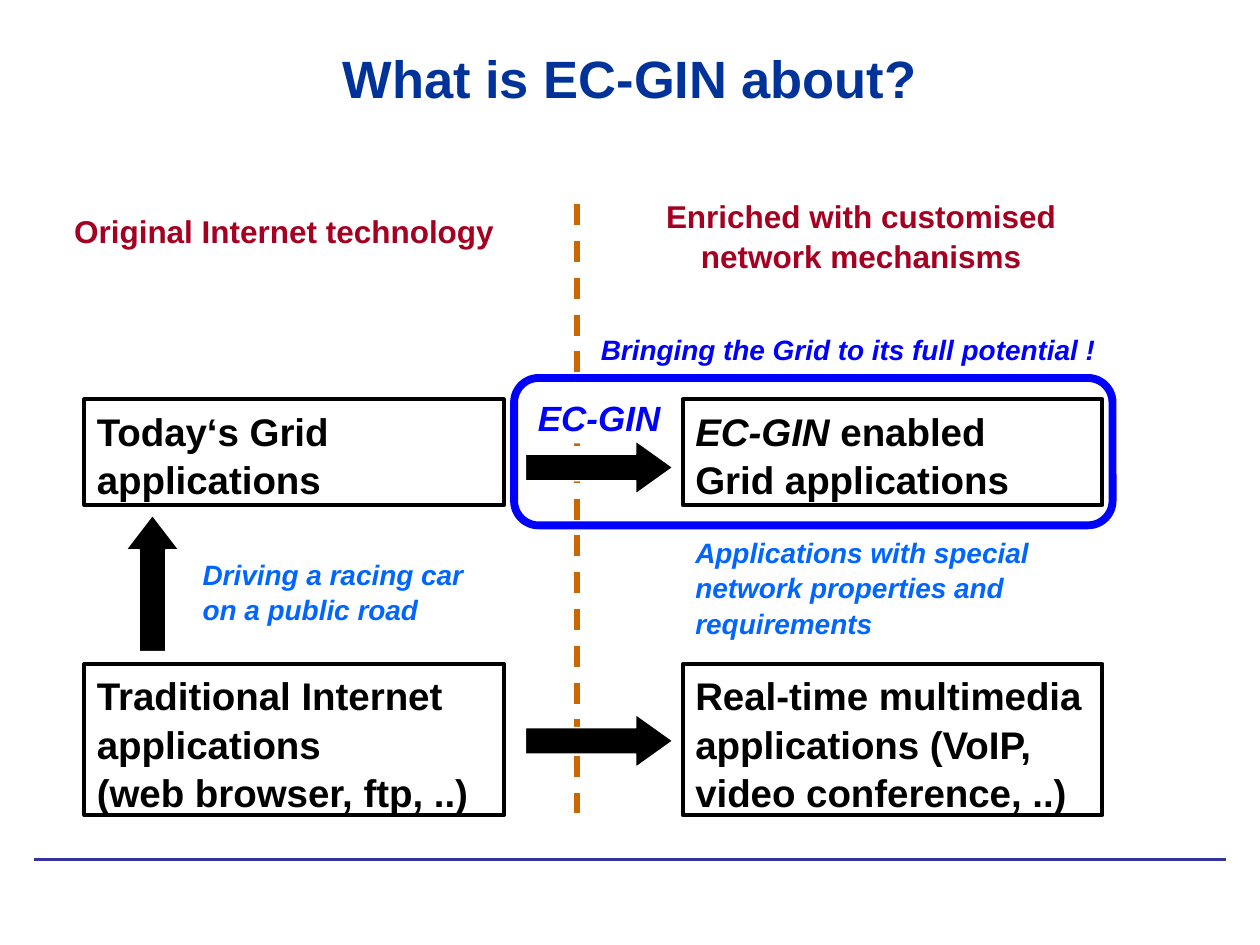
from dataclasses import dataclass

import pptx
import pptx.util
import pptx.dml.color
import pptx.enum.dml
import pptx.enum.shapes
import pptx.enum.text
import pptx.oxml

Inches = pptx.util.Inches
Pt = pptx.util.Pt
Shape = pptx.enum.shapes.MSO_SHAPE
Anchor = pptx.enum.text.MSO_ANCHOR
Align = pptx.enum.text.PP_ALIGN


@dataclass(frozen=True)
class Theme:
    font: str = "Arial"
    title: str = "003399"
    head: str = "A50021"
    text: str = "000000"
    note: str = "0066FF"
    mark: str = "0000FF"
    split: str = "CC6600"
    rule: str = "333399"
    white: str = "FFFFFF"
    title_size: int = 30
    box_size: int = 22
    mark_size: int = 20
    head_size: int = 18
    note_size: int = 16


@dataclass(frozen=True)
class Box:
    left: float
    top: float
    height: float
    words: tuple  # (text, italic) pairs


@dataclass(frozen=True)
class Label:
    text: str
    place: tuple
    size: int
    color: str
    italic: bool = True
    centred: bool = False
    wrap: bool = True


@dataclass(frozen=True)
class Arrow:
    left: float
    top: float
    width: float = 1.17
    turn: int = 0


THEME = Theme()
LEFT, RIGHT = 0.67, 5.42
UPPER, LOWER = 3.17, 5.27
BOX_WIDTH = 3.33

BOXES = (
    Box(LEFT, LOWER, 1.2,
        (("Traditional Internet applications\n(web browser, ftp, ..)", False),)),
    Box(RIGHT, LOWER, 1.2,
        (("Real-time multimedia applications (VoIP, video conference, ..)", False),)),
    Box(LEFT, UPPER, 0.84, (("Today‘s Grid applications", False),)),
    Box(RIGHT, UPPER, 0.84,
        (("EC-GIN", True), (" enabled\nGrid applications", False))),
)
LABELS = (
    Label("Enriched with customised\nnetwork mechanisms", (5.17, 1.5, 3.33, 0.7),
          THEME.head_size, THEME.head, italic=False, centred=True),
    Label("Original Internet technology", (0.42, 1.62, 3.67, 0.4),
          THEME.head_size, THEME.head, italic=False, centred=True),
    Label("Driving a racing car\non a public road", (1.51, 4.36, 2.27, 0.64),
          THEME.note_size, THEME.note, wrap=False),
    Label("Applications with special\nnetwork properties and\nrequirements",
          (RIGHT, 4.19, 2.85, 0.9), THEME.note_size, THEME.note, wrap=False),
    Label("Bringing the Grid to its full potential !", (4.67, 2.58, 4.17, 0.37),
          THEME.note_size, THEME.mark),
)
ARROWS = (Arrow(4.17, 5.67), Arrow(4.17, 3.5), Arrow(LEFT, 4.42, 1.08, 270))


def color(code: str):
    return pptx.dml.color.RGBColor.from_string(code)


def write(frame, words, *, size, ink, align=Align.LEFT, anchor=Anchor.TOP,
          wrap=True, spacing=1.05) -> None:
    """Fill a text frame with one paragraph of (text, italic) pairs."""
    frame.word_wrap = wrap
    frame.vertical_anchor = anchor
    frame.margin_left = frame.margin_right = Inches(0.1)
    frame.margin_top = frame.margin_bottom = Inches(0.05)
    para = frame.paragraphs[0]
    para.alignment = align
    para.line_spacing = spacing
    para.space_before = Pt(0)
    for text, italic in words:
        for i, line in enumerate(text.split("\n")):
            if i:
                para.add_line_break()
            run = para.add_run()
            run.text = line
            font = run.font
            font.name, font.size = THEME.font, Pt(size)
            font.bold, font.italic = True, italic
            font.color.rgb = color(ink)


def add_shape(slide, kind, place, *, fill=None, line=None, width=0.75):
    shape = slide.shapes.add_shape(kind, *map(Inches, place))
    shape.shadow.inherit = False
    if fill:
        shape.fill.solid()
        shape.fill.fore_color.rgb = color(fill)
    else:
        shape.fill.background()
    if line:
        shape.line.color.rgb = color(line)
        shape.line.width = Pt(width)
    else:
        shape.line.fill.background()
    return shape


def add_line(slide, start, end, ink: str, width: float, dash=None) -> None:
    line = slide.shapes.add_connector(
        pptx.enum.shapes.MSO_CONNECTOR.STRAIGHT, *map(Inches, start + end))
    line.line.color.rgb = color(ink)
    line.line.width = Pt(width)
    if dash:
        line.line.dash_style = dash
    props = line._element.spPr
    props.append(props.makeelement(pptx.oxml.ns.qn("a:effectLst"), {}))


def add_box(slide, box: Box) -> None:
    shape = add_shape(slide, Shape.RECTANGLE,
                      (box.left, box.top, BOX_WIDTH, box.height),
                      line=THEME.text, width=2.25)
    write(shape.text_frame, box.words, size=THEME.box_size, ink=THEME.text)


def add_label(slide, label: Label) -> None:
    frame = slide.shapes.add_textbox(*map(Inches, label.place)).text_frame
    write(frame, ((label.text, label.italic),), size=label.size, ink=label.color,
          align=Align.CENTER if label.centred else Align.LEFT, wrap=label.wrap)


def add_arrow(slide, arrow: Arrow) -> None:
    shape = add_shape(slide, Shape.RIGHT_ARROW,
                      (arrow.left, arrow.top, arrow.width, 0.42),
                      fill=THEME.text, line=THEME.white)
    shape.adjustments[1] = 0.65 if arrow.turn else 0.7
    shape.rotation = arrow.turn


def add_title(slide, text: str) -> None:
    title = slide.shapes.title
    title.left, title.top, title.width, title.height = map(
        Inches, (0, 0.13, 10, 0.97))
    write(title.text_frame, ((text, False),), size=THEME.title_size,
          ink=THEME.title, align=Align.CENTER, anchor=Anchor.MIDDLE, spacing=1.0)


def add_mark(slide) -> None:
    """Frame the upper right step and name it."""
    ring = add_shape(slide, Shape.ROUNDED_RECTANGLE, (4.08, 3, 4.75, 1.17),
                     line=THEME.mark, width=4.5)
    ring.adjustments[0] = 0.167
    plate = add_shape(slide, Shape.RECTANGLE, (4.17, 3.08, 1.33, 0.44),
                      fill=THEME.white)
    write(plate.text_frame, (("EC-GIN", True),), size=THEME.mark_size,
          ink=THEME.mark)


def main() -> None:
    deck = pptx.Presentation()
    deck.slide_width, deck.slide_height = Inches(10), Inches(7.5)
    slide = deck.slides.add_slide(deck.slide_layouts.get_by_name("Title Only"))
    add_title(slide, "What is EC-GIN about?")
    add_line(slide, (0.27, 6.82), (9.73, 6.82), THEME.rule, 1.5)
    add_line(slide, (4.58, 1.62), (4.58, 6.45), THEME.split, 3,
             pptx.enum.dml.MSO_LINE.DASH)
    add_mark(slide)
    for box in BOXES:
        add_box(slide, box)
    for label in LABELS:
        add_label(slide, label)
    for arrow in ARROWS:
        add_arrow(slide, arrow)
    deck.save("out.pptx")


if __name__ == "__main__":
    main()
